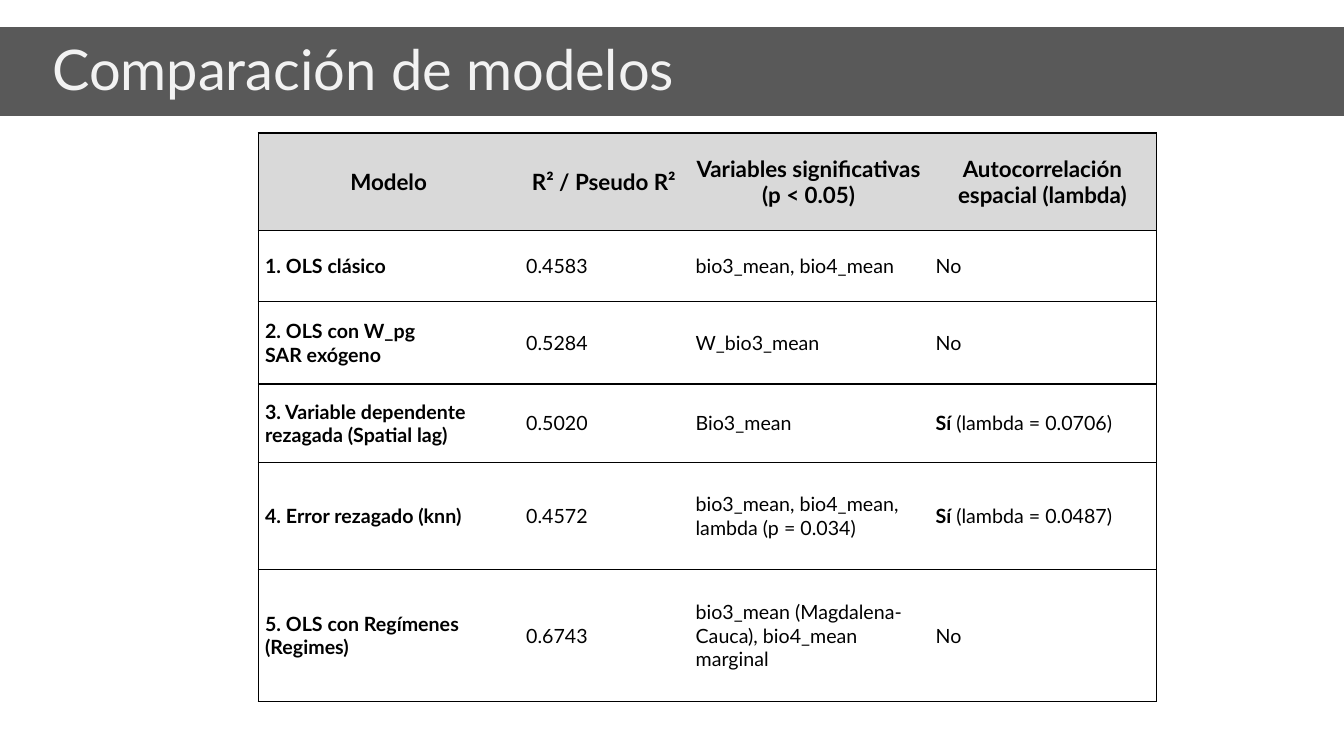
from dataclasses import dataclass

from lxml import etree
from pptx import Presentation
from pptx.dml.color import RGBColor
from pptx.enum.shapes import MSO_SHAPE
from pptx.enum.text import MSO_ANCHOR, PP_ALIGN
from pptx.oxml.ns import qn
from pptx.util import Inches, Pt

RECT = MSO_SHAPE.RECTANGLE
MIDDLE = MSO_ANCHOR.MIDDLE
LEFT, CENTER = PP_ALIGN.LEFT, PP_ALIGN.CENTER
PLAIN = "{2D5ABB26-0587-4C30-8999-92F81FD0307C}"


@dataclass(frozen=True)
class Theme:
    font: str = "Lato"
    band: str = "595959"
    title: str = "F2F2F2"
    head: str = "D9D9D9"
    body: str = "FFFFFF"
    ink: str = "000000"
    title_size: int = 40
    head_size: int = 16
    body_size: int = 14
    rule: int = 1


THEME = Theme()

COLS = [2.59, 1.68, 2.38, 2.26]
ROWS = [0.97, 0.7, 0.82, 0.78, 1.06, 1.31]
MODELS = [
    ["Modelo", "R² / Pseudo R²", "Variables significativas (p < 0.05)",
     "Autocorrelación espacial (lambda)"],
    ["1. OLS clásico", "0.4583", "bio3_mean, bio4_mean", "No"],
    ["2. OLS con W_pg\nSAR exógeno", "0.5284", "W_bio3_mean", "No"],
    ["3. Variable dependente rezagada (Spatial lag)", "0.5020", "Bio3_mean",
     "Sí (lambda = 0.0706)"],
    ["4. Error rezagado (knn)", "0.4572",
     "bio3_mean, bio4_mean, lambda (p = 0.034)", "Sí (lambda = 0.0487)"],
    ["5. OLS con Regímenes (Regimes)", "0.6743",
     "bio3_mean (Magdalena-Cauca), bio4_mean marginal", "No"],
]


def write(frame, text, size, color=THEME.ink, bold=False, lead="",
          align=LEFT, spacing=None):
    """Fill a frame, one paragraph a line; a leading `lead` is set in bold."""
    frame.word_wrap = True
    for i, line in enumerate(text.split("\n")):
        para = frame.add_paragraph() if i else frame.paragraphs[0]
        para.alignment = align
        if spacing:
            para.line_spacing = spacing
        parts = [(line, bold)]
        if lead and line.startswith(lead):
            parts = [(lead, True), (line[len(lead):], bold)]
        for words, strong in parts:
            run = para.add_run()
            run.text = words
            run.font.name = THEME.font
            run.font.size = Pt(size)
            run.font.bold = strong
            run.font.color.rgb = RGBColor.from_string(color)


def edge(cell, sides):
    """Rule the given sides (of L, R, T, B) and clear the others."""
    props = cell._tc.get_or_add_tcPr()
    for i, side in enumerate("LRTB"):
        line = etree.Element(qn(f"a:ln{side}"), w=str(Pt(THEME.rule)))
        if side in sides:
            fill = etree.SubElement(line, qn("a:solidFill"))
            etree.SubElement(fill, qn("a:srgbClr"), val=THEME.ink)
        else:
            etree.SubElement(line, qn("a:noFill"))
        props.insert(i, line)


def add_title(slide, left, top, width, height, text):
    band = slide.shapes.add_shape(
        RECT, Inches(left), Inches(top), Inches(width), Inches(height))
    band.shadow.inherit = False
    band.fill.solid()
    band.fill.fore_color.rgb = RGBColor.from_string(THEME.band)
    band.line.fill.background()
    box = slide.shapes.add_textbox(
        Inches(left + 0.42), Inches(top + 0.03),
        Inches(width), Inches(height - 0.05))
    box.text_frame.vertical_anchor = MIDDLE
    write(box.text_frame, text, THEME.title_size, color=THEME.title,
          spacing=0.9)


def add_models(slide, left, top):
    frame = slide.shapes.add_table(
        len(ROWS), len(COLS), Inches(left), Inches(top),
        Inches(sum(COLS)), Inches(sum(ROWS)))
    table = frame.table
    table.horz_banding = False
    table.first_row = False
    table._tbl.tblPr.find(qn("a:tableStyleId")).text = PLAIN
    for col, width in zip(table.columns, COLS):
        col.width = Inches(width)
    for row, height in zip(table.rows, ROWS):
        row.height = Inches(height)
    last = len(COLS) - 1
    for r, texts in enumerate(MODELS):
        head = r == 0
        for c, text in enumerate(texts):
            cell = table.cell(r, c)
            cell.vertical_anchor = MIDDLE
            cell.margin_left = cell.margin_right = Inches(0.07)
            cell.margin_top = cell.margin_bottom = Inches(0.04)
            cell.fill.solid()
            cell.fill.fore_color.rgb = RGBColor.from_string(
                THEME.head if head else THEME.body)
            edge(cell, "TB" + "L" * (c == 0) + "R" * (c == last))
            write(cell.text_frame, text,
                  THEME.head_size if head else THEME.body_size,
                  bold=head or c == 0, lead="Sí",
                  align=CENTER if head else LEFT)


def main():
    deck = Presentation()
    deck.slide_width, deck.slide_height = Inches(13.33), Inches(7.5)
    slide = deck.slides.add_slide(deck.slide_layouts[6])
    add_title(slide, 0, 0.27, 13.33, 0.88, "Comparación de modelos")
    add_models(slide, 2.56, 1.32)
    deck.save("out.pptx")


if __name__ == "__main__":
    main()
